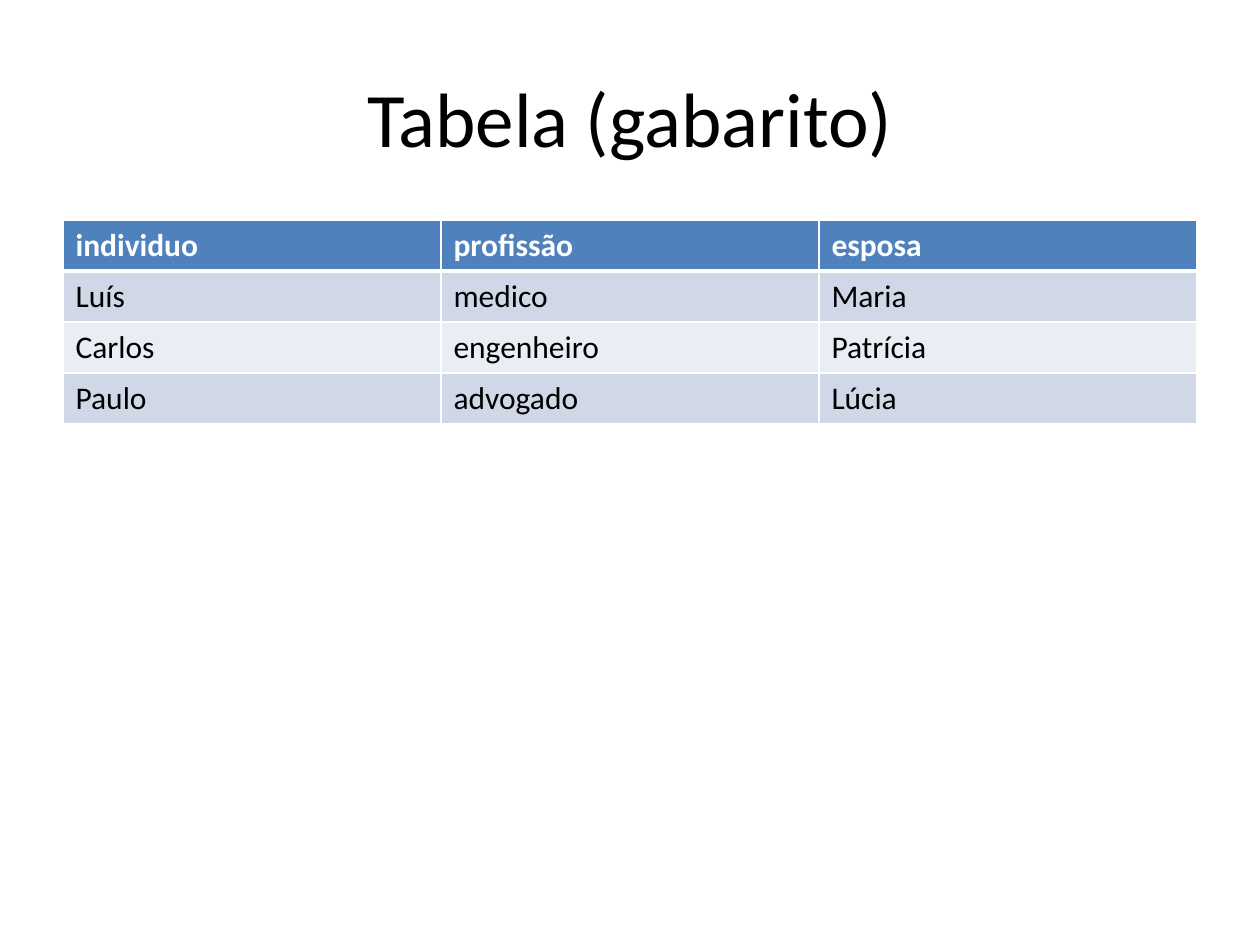
from lxml import etree
from pptx import Presentation
from pptx.dml.color import RGBColor
from pptx.enum.text import MSO_ANCHOR, PP_ALIGN
from pptx.oxml.ns import qn
from pptx.util import Inches, Pt

PX = Inches(1) // 126
FONT = "Calibri"
BLACK, WHITE = "000000", "FFFFFF"
HEADER_FILL = "4F81BD"
BAND_FILLS = ("D0D8E8", "E9EDF4")
CENTER, MIDDLE = PP_ALIGN.CENTER, MSO_ANCHOR.MIDDLE

ROWS = [
    ("individuo", "profissão", "esposa"),
    ("Luís", "medico", "Maria"),
    ("Carlos", "engenheiro", "Patrícia"),
    ("Paulo", "advogado", "Lúcia"),
]


def px(*lengths):
    return [n * PX for n in lengths]


def rgb(value):
    return RGBColor.from_string(value)


def add_run(p, text, size, color, bold=False):
    r = p.add_run()
    r.text = text
    r.font.name = FONT
    r.font.size = Pt(size)
    r.font.bold = bold
    r.font.color.rgb = rgb(color)


def add_title(s, text):
    tf = s.shapes.add_textbox(*px(63, 38, 1134, 157)).text_frame
    tf.word_wrap = True
    tf.vertical_anchor = MIDDLE
    p = tf.paragraphs[0]
    p.alignment = CENTER
    add_run(p, text, 44, BLACK)


def set_borders(cell, top, bottom):
    """Draw white cell borders; the side borders are 1 pt wide."""
    tc_pr = cell._tc.get_or_add_tcPr()
    for side, width in (("L", 1), ("R", 1), ("T", top), ("B", bottom)):
        ln = etree.SubElement(tc_pr, qn(f"a:ln{side}"), w=str(Pt(width)))
        fill = etree.SubElement(ln, qn("a:solidFill"))
        etree.SubElement(fill, qn("a:srgbClr"), val=WHITE)


def add_people_table(s, rows):
    row_height = 51
    frame = s.shapes.add_table(
        len(rows), len(rows[0]), *px(63, 220, 1134, row_height * len(rows)))
    for i, row in enumerate(rows):
        header = i == 0
        fill = HEADER_FILL if header else BAND_FILLS[(i - 1) % 2]
        for j, text in enumerate(row):
            cell = frame.table.cell(i, j)
            set_borders(cell, 3 if i == 1 else 1, 3 if header else 1)
            cell.fill.solid()
            cell.fill.fore_color.rgb = rgb(fill)
            add_run(cell.text_frame.paragraphs[0], text, 18,
                    WHITE if header else BLACK, header)


def main():
    prs = Presentation()
    prs.slide_width, prs.slide_height = px(1260, 945)
    s = prs.slides.add_slide(prs.slide_layouts[6])
    add_title(s, "Tabela (gabarito)")
    add_people_table(s, ROWS)
    prs.save("out.pptx")


if __name__ == "__main__":
    main()
